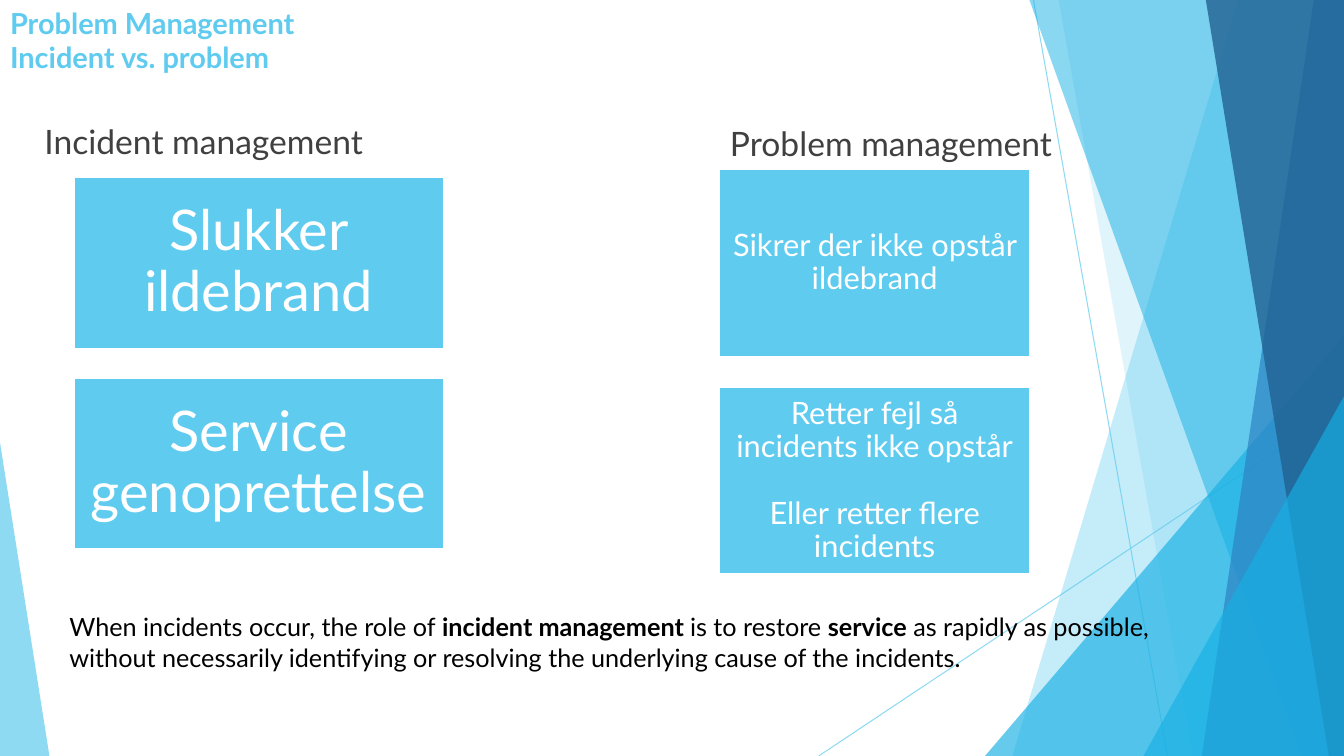
from dataclasses import dataclass

from lxml.etree import SubElement
from pptx import Presentation
from pptx.dml.color import RGBColor
from pptx.enum.shapes import MSO_CONNECTOR, MSO_SHAPE
from pptx.enum.text import MSO_ANCHOR, MSO_AUTO_SIZE, PP_ALIGN
from pptx.oxml.ns import qn
from pptx.util import Inches, Pt


@dataclass(frozen=True)
class Theme:
    font: str = "Lato"
    sky: str = "5FCBEF"
    cyan: str = "17B0E4"
    blue: str = "2E83C3"
    navy: str = "226292"
    white: str = "FFFFFF"
    gray: str = "404040"
    black: str = "000000"
    title: float = 20.7
    head: float = 24
    large: float = 40
    small: float = 22
    note: float = 18


THEME = Theme()
WIDE, HIGH = 13.33, 7.5


def place(shape, box):
    shape.left, shape.top, shape.width, shape.height = map(Inches, box)


def tint(fill, color, alpha=100):
    """Fill with a solid colour at the given opacity in percent."""
    fill.solid()
    fill.fore_color.rgb = RGBColor.from_string(color)
    if alpha < 100:
        node = fill._xPr.find(qn("a:solidFill"))[0]
        SubElement(node, qn("a:alpha")).set("val", str(alpha * 1000))


def write(para, text, size, color, bold=False):
    run = para.add_run()
    run.text = text
    run.font.name = THEME.font
    run.font.size = Pt(size)
    run.font.bold = bold
    run.font.color.rgb = RGBColor.from_string(color)


def facet(shape, color, alpha):
    shape.shadow.inherit = False
    tint(shape.fill, color, alpha)
    shape.line.fill.background()


def band(slide, points, color, alpha):
    maker = slide.shapes.build_freeform(
        Inches(points[0][0]), Inches(points[0][1]))
    maker.add_line_segments([(Inches(x), Inches(y)) for x, y in points[1:]])
    facet(maker.convert_to_shape(), color, alpha)


def wedge(slide, box, apex, color, alpha):
    shape = slide.shapes.add_shape(
        MSO_SHAPE.ISOSCELES_TRIANGLE, *map(Inches, box))
    shape.adjustments[0] = apex
    facet(shape, color, alpha)


def ray(slide, start, end):
    line = slide.shapes.add_connector(
        MSO_CONNECTOR.STRAIGHT, *map(Inches, start + end))
    line.line.width = Pt(0.75)
    tint(line.line.fill, THEME.sky, 70)
    SubElement(line._element.spPr, qn("a:effectLst"))


def backdrop(slide, box):
    """Draw the overlapping facets along the edges of the box."""
    left, top, wide, high = box
    right, base = left + wide, top + high

    def strip(head, foot, color, alpha):
        band(slide, [(right - head, top), (right, top), (right, base),
                     (right - foot, base)], color, alpha)

    def corner(wide, high, color, alpha):
        wedge(slide, (right - wide, base - high, wide, high), 1, color, alpha)

    ray(slide, (right - 3.08, top), (right - 1.75, base))
    ray(slide, (right, top + 4.03), (right - 5.21, base))
    strip(1.05, 3.29, THEME.sky, 36)
    strip(2.83, 1.5, THEME.sky, 20)
    corner(3.56, 4.17, THEME.cyan, 66)
    strip(3.12, 0.42, THEME.cyan, 50)
    strip(0.3, 1.41, THEME.blue, 70)
    strip(1.37, 0.15, THEME.navy, 80)
    corner(1.99, 3.57, THEME.cyan, 66)
    wedge(slide, (left, base - 3.11, 0.49, 3.11), 0, THEME.sky, 70)


def label(slide, holder, box, lines, size, color, anchor, bold=False):
    """Format a placeholder and bring it in front of the facets."""
    place(holder, box)
    slide.shapes._spTree.append(holder._element)
    frame = holder.text_frame
    frame.auto_size = MSO_AUTO_SIZE.NONE
    frame.vertical_anchor = anchor
    para = frame.paragraphs[0]
    para.alignment = PP_ALIGN.LEFT
    for at, line in enumerate(lines):
        if at:
            para.add_line_break()
        write(para, line, size, color, bold)


def card(slide, box, texts, size, inset):
    shape = slide.shapes.add_shape(MSO_SHAPE.RECTANGLE, *map(Inches, box))
    shape.shadow.inherit = False
    tint(shape.fill, THEME.sky)
    tint(shape.line.fill, THEME.white)
    shape.line.width = Pt(1.5)
    frame = shape.text_frame
    frame.word_wrap = True
    frame.vertical_anchor = MSO_ANCHOR.MIDDLE
    frame.margin_left = frame.margin_right = Inches(inset)
    frame.margin_top = frame.margin_bottom = Inches(inset)
    for at, text in enumerate(texts):
        para = frame.add_paragraph() if at else frame.paragraphs[0]
        para.alignment = PP_ALIGN.CENTER
        para.line_spacing = 0.9
        para.space_before = Pt(24 if at else 0)
        write(para, text, size, THEME.white)


def stack(slide, box, gap, cards, size, inset):
    """Share the height of the box among equal cards."""
    left, top, wide, high = box
    tall = (high - gap * (len(cards) - 1)) / len(cards)
    for at, texts in enumerate(cards):
        card(slide, (left, top + at * (tall + gap), wide, tall),
             texts, size, inset)


def note(slide, box, parts):
    frame = slide.shapes.add_textbox(*map(Inches, box)).text_frame
    frame.word_wrap = True
    for text, bold in parts:
        write(frame.paragraphs[0], text, THEME.note, THEME.black, bold)


def compare(deck):
    slide = deck.slides.add_slide(deck.slide_layouts[4])
    title, left, spare, right, extra = slide.placeholders
    for holder in (spare, extra):
        slide.shapes._spTree.remove(holder._element)
    backdrop(slide, (0, 0, WIDE, HIGH))
    label(slide, title, (0, 0, 11, 0.56),
          ["Problem Management", "Incident vs. problem"],
          THEME.title, THEME.sky, MSO_ANCHOR.TOP, True)
    label(slide, left, (0.34, 1.19, 5.64, 0.46), ["Incident management"],
          THEME.head, THEME.gray, MSO_ANCHOR.BOTTOM)
    label(slide, right, (7.14, 1.21, 5.67, 0.46), ["Problem management"],
          THEME.head, THEME.gray, MSO_ANCHOR.BOTTOM)
    stack(slide, (7.13, 1.68, 3.09, 4.02), 0.3,
          [["Sikrer der ikke opstår ildebrand"],
           ["Retter fejl så incidents ikke opstår",
            "Eller retter flere incidents"]], THEME.small, 0.09)
    stack(slide, (0.73, 1.76, 3.67, 3.69), 0.29,
          [["Slukker ildebrand"], ["Service genoprettelse"]],
          THEME.large, 0.15)
    note(slide, (0.59, 6.02, 11.34, 0.71),
         [("When incidents occur, the role of ", False),
          ("incident management ", True),
          ("is to restore ", False),
          ("service", True),
          (" as rapidly as possible, without necessarily identifying or "
           "resolving the underlying cause of the incidents.", False)])


def main():
    deck = Presentation()
    deck.slide_width, deck.slide_height = Inches(WIDE), Inches(HIGH)
    compare(deck)
    deck.save("out.pptx")


if __name__ == "__main__":
    main()
